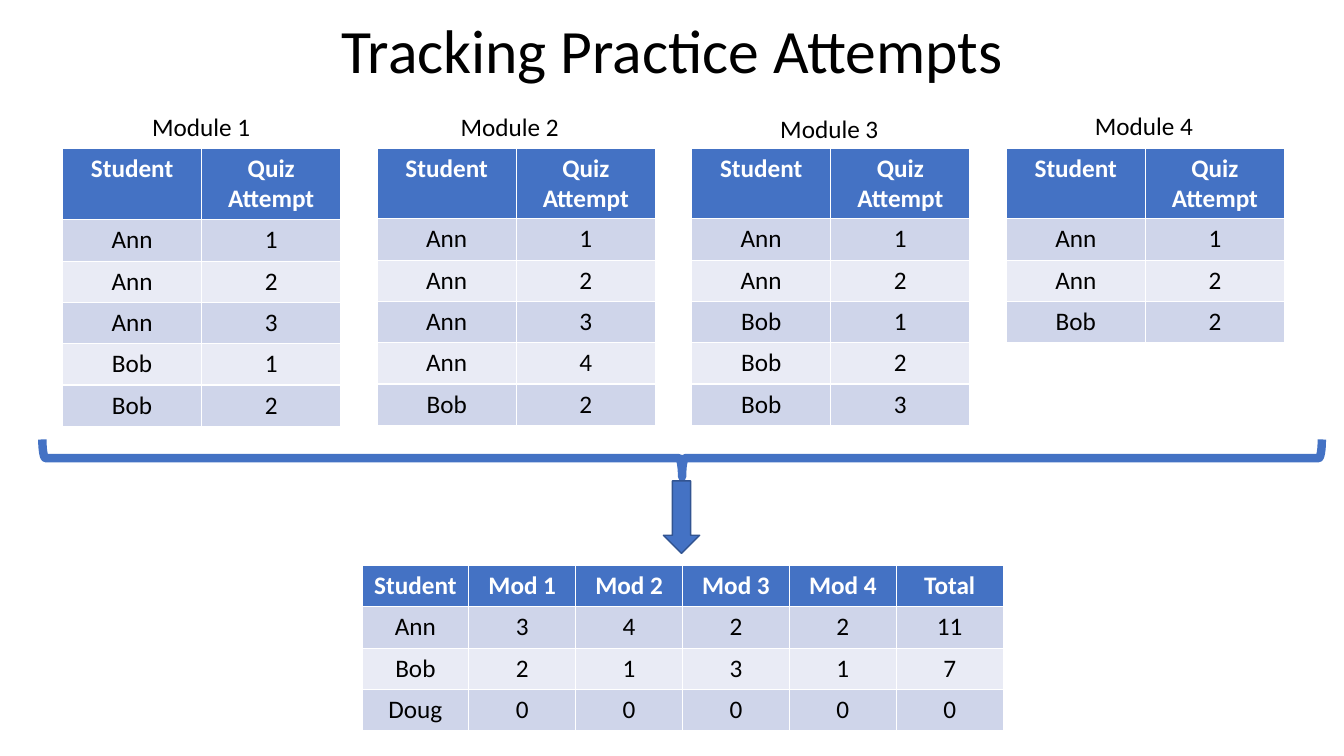
"""Build a slide that rolls quiz attempts per module up into one summary table."""
from dataclasses import dataclass

from pptx import Presentation
from pptx.dml.color import RGBColor
from pptx.enum.shapes import MSO_SHAPE
from pptx.enum.text import MSO_ANCHOR, MSO_AUTO_SIZE, PP_ALIGN
from pptx.util import Inches, Pt


@dataclass(frozen=True)
class Theme:
    font: str = "Calibri"
    title_size: int = 44
    body_size: int = 18
    text: str = "000000"
    header_text: str = "FFFFFF"
    accent: str = "4472C4"
    accent_edge: str = "325491"
    bands: tuple = ("CFD5EA", "E9EBF5")


THEME = Theme()
TITLE = "Tracking Practice Attempts"
MODULE_HEADER = ("Student", "Quiz Attempt")
MODULES = [
    ("Module 1", (1.41, 1.06), [("Ann", 1), ("Ann", 2), ("Ann", 3), ("Bob", 1), ("Bob", 2)]),
    ("Module 2", (4.47, 1.06), [("Ann", 1), ("Ann", 2), ("Ann", 3), ("Ann", 4), ("Bob", 2)]),
    ("Module 3", (7.64, 1.08), [("Ann", 1), ("Ann", 2), ("Bob", 1), ("Bob", 2), ("Bob", 3)]),
    ("Module 4", (10.76, 1.05), [("Ann", 1), ("Ann", 2), ("Bob", 2)]),
]
SUMMARY = [
    ("Student", "Mod 1", "Mod 2", "Mod 3", "Mod 4", "Total"),
    ("Ann", 3, 4, 2, 2, 11),
    ("Bob", 2, 1, 3, 1, 7),
    ("Doug", 0, 0, 0, 0, 0),
]
MODULE_LEFT, MODULE_TOP, MODULE_PITCH = 0.62, 1.47, 3.12
MODULE_COLUMN, SUMMARY_COLUMN = 1.38, 1.06
ROW_HEIGHT, TALL_HEADER = 0.41, 0.7


def rgb(value):
    return RGBColor.from_string(value)


def style(paragraph, size, color, bold=False, align=PP_ALIGN.CENTER):
    paragraph.alignment = align
    paragraph.font.name = THEME.font
    paragraph.font.size = Pt(size)
    paragraph.font.bold = bold
    paragraph.font.color.rgb = rgb(color)


def add_grid(slide, rows, left, top, column_width, header_height):
    heights = [header_height] + [ROW_HEIGHT] * (len(rows) - 1)
    columns = len(rows[0])
    grid = slide.shapes.add_table(
        len(rows), columns, Inches(left), Inches(top),
        Inches(column_width * columns), Inches(sum(heights))).table
    for column in grid.columns:
        column.width = Inches(column_width)
    for r, values in enumerate(rows):
        grid.rows[r].height = Inches(heights[r])
        is_header = r == 0
        for c, value in enumerate(values):
            cell = grid.cell(r, c)
            cell.text = str(value)
            cell.fill.solid()
            cell.fill.fore_color.rgb = rgb(THEME.accent if is_header else THEME.bands[(r - 1) % 2])
            style(cell.text_frame.paragraphs[0], THEME.body_size,
                  THEME.header_text if is_header else THEME.text, is_header)


def add_title(slide):
    title = slide.shapes.title
    title.left, title.top = Inches(0.92), Inches(0.14)
    title.width, title.height = Inches(11.5), Inches(0.79)
    title.text_frame.text = TITLE
    title.text_frame.vertical_anchor = MSO_ANCHOR.MIDDLE
    heading = title.text_frame.paragraphs[0]
    heading.line_spacing = 0.9
    style(heading, THEME.title_size, THEME.text)


def add_label(slide, name, left, top):
    label = slide.shapes.add_textbox(Inches(left), Inches(top), Inches(1.19), Inches(0.4))
    frame = label.text_frame
    frame.word_wrap = False
    frame.auto_size = MSO_AUTO_SIZE.SHAPE_TO_FIT_TEXT
    frame.text = name
    style(frame.paragraphs[0], THEME.body_size, THEME.text, align=PP_ALIGN.LEFT)


def add_outlined(slide, preset, box, line_color, line_width):
    shape = slide.shapes.add_shape(preset, *map(Inches, box))
    shape.shadow.inherit = False
    shape.line.color.rgb = rgb(line_color)
    shape.line.width = Pt(line_width)
    return shape


def main():
    deck = Presentation()
    deck.slide_width, deck.slide_height = Inches(13.33), Inches(7.5)
    slide = deck.slides.add_slide(deck.slide_layouts[5])
    add_title(slide)

    for index, (name, label_at, attempts) in enumerate(MODULES):
        add_grid(slide, [MODULE_HEADER] + attempts, MODULE_LEFT + index * MODULE_PITCH,
                 MODULE_TOP, MODULE_COLUMN, TALL_HEADER)
        add_label(slide, name, *label_at)
    add_grid(slide, SUMMARY, 3.59, 5.61, SUMMARY_COLUMN, ROW_HEIGHT)

    brace = add_outlined(slide, MSO_SHAPE.LEFT_BRACE, (6.58, -1.8, 0.37, 12.69), THEME.accent, 6)
    brace.rotation = 270
    brace.fill.background()
    arrow = add_outlined(slide, MSO_SHAPE.DOWN_ARROW, (6.58, 4.77, 0.36, 0.72), THEME.accent_edge, 1)
    arrow.fill.solid()
    arrow.fill.fore_color.rgb = rgb(THEME.accent)

    deck.save("out.pptx")


if __name__ == "__main__":
    main()
